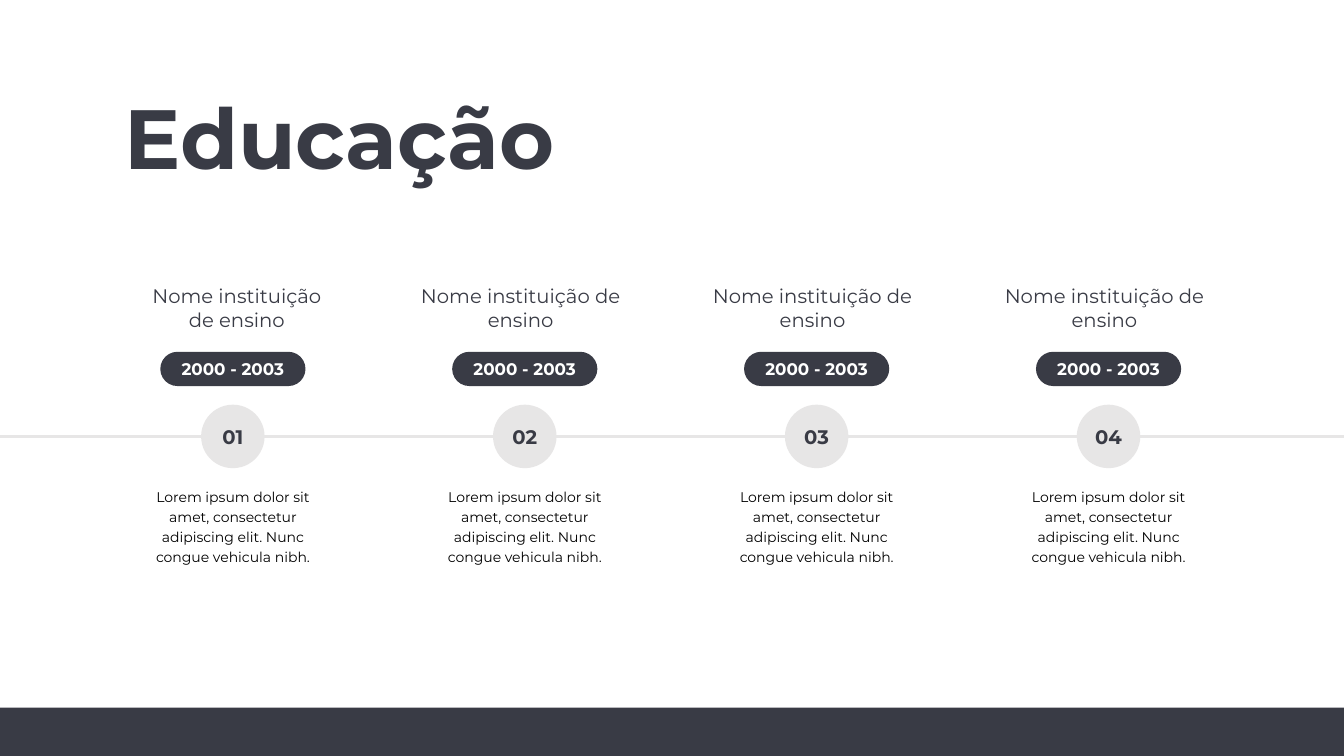
import pptx
import pptx.dml.color
import pptx.enum.shapes
import pptx.enum.text
import pptx.oxml
import pptx.util
from dataclasses import dataclass

SHAPE = pptx.enum.shapes.MSO_SHAPE
ALIGN = pptx.enum.text.PP_ALIGN
ANCHOR = pptx.enum.text.MSO_ANCHOR
inch = pptx.util.Inches

# Content
TITLE = "Educação"
SCHOOL = "Nome instituição de ensino"
YEARS = "2000 - 2003"
SUMMARY = ("Lorem ipsum dolor sit amet, consectetur adipiscing elit. "
           "Nunc congue vehicula nibh.")
# Number, school, years, summary, width of the school label, its shift from the axis
STAGES = [
    ("01", SCHOOL, YEARS, SUMMARY, 1.91, 0.04),
    ("02", SCHOOL, YEARS, SUMMARY, 2.23, -0.04),
    ("03", SCHOOL, YEARS, SUMMARY, 2.23, -0.04),
    ("04", SCHOOL, YEARS, SUMMARY, 2.23, -0.04),
]


@dataclass(frozen=True)
class Theme:
    font: str = "Montserrat"
    dark: str = "393B45"
    pale: str = "E7E6E6"
    white: str = "FFFFFF"
    black: str = "000000"
    title: int = 60
    label: int = 14
    years: int = 12
    summary: int = 10


THEME = Theme()

# Layout in inches
WIDTH, HEIGHT = 13.33, 7.5
FOOTER_HEIGHT = 0.48
AXIS_Y = 4.33
FIRST_CENTER = 2.31
PITCH = (WIDTH - 1.75) / len(STAGES)
CIRCLE = 0.63
PILL_TOP, PILL_WIDTH, PILL_HEIGHT = 3.49, 1.44, 0.34
SCHOOL_TOP, SCHOOL_HEIGHT = 2.77, 0.57
SUMMARY_TOP, SUMMARY_WIDTH, SUMMARY_HEIGHT = 4.76, 2.15, 0.94


def rgb(color):
    return pptx.dml.color.RGBColor.from_string(color)


def write(holder, text, size, color, bold=False, align=ALIGN.CENTER,
          anchor=ANCHOR.TOP, wrap=True, spacing=None):
    frame = holder.text_frame
    frame.text = text
    frame.word_wrap = wrap
    frame.auto_size = pptx.enum.text.MSO_AUTO_SIZE.NONE
    frame.vertical_anchor = anchor
    line = frame.paragraphs[0]
    line.alignment = align
    line.line_spacing = spacing
    line.font.name = THEME.font
    line.font.size = pptx.util.Pt(size)
    line.font.bold = bold
    line.font.color.rgb = rgb(color)


def add_block(slide, kind, left, top, width, height, color):
    block = slide.shapes.add_shape(
        kind, inch(left), inch(top), inch(width), inch(height))
    block.shadow.inherit = False
    block.fill.solid()
    block.fill.fore_color.rgb = rgb(color)
    block.line.fill.background()
    return block


def add_label(slide, center, top, width, height, text, size, color, spacing=None):
    label = slide.shapes.add_textbox(
        inch(center - width / 2), inch(top), inch(width), inch(height))
    write(label, text, size, color, spacing=spacing)


def add_stage(slide, center, stage):
    number, school, years, summary, school_width, school_shift = stage
    circle = add_block(slide, SHAPE.OVAL, center - CIRCLE / 2, AXIS_Y - CIRCLE / 2,
                       CIRCLE, CIRCLE, THEME.pale)
    write(circle, number, THEME.label, THEME.dark, bold=True,
          anchor=ANCHOR.MIDDLE, wrap=False)

    pill = add_block(slide, SHAPE.ROUNDED_RECTANGLE, center - PILL_WIDTH / 2,
                     PILL_TOP, PILL_WIDTH, PILL_HEIGHT, THEME.dark)
    pill.adjustments[0] = 0.5
    write(pill, years, THEME.years, THEME.white, bold=True, anchor=ANCHOR.MIDDLE)

    add_label(slide, center + school_shift, SCHOOL_TOP, school_width, SCHOOL_HEIGHT,
              school, THEME.label, THEME.dark)
    add_label(slide, center, SUMMARY_TOP, SUMMARY_WIDTH, SUMMARY_HEIGHT,
              summary, THEME.summary, THEME.black, spacing=1.2)


def main():
    deck = pptx.Presentation()
    deck.slide_width, deck.slide_height = inch(WIDTH), inch(HEIGHT)
    slide = deck.slides.add_slide(deck.slide_layouts.get_by_name("Title Only"))

    # Title
    title = slide.shapes.title
    title.left, title.top = inch(1.13), inch(0.83)
    title.width, title.height = inch(5.55), inch(1.08)
    write(title, TITLE, THEME.title, THEME.dark, bold=True, align=ALIGN.LEFT,
          spacing=pptx.util.Pt(70))

    # Footer band
    add_block(slide, SHAPE.RECTANGLE, 0, HEIGHT - FOOTER_HEIGHT,
              WIDTH, FOOTER_HEIGHT, THEME.dark)

    # Time axis, behind the stages
    axis = slide.shapes.add_connector(
        pptx.enum.shapes.MSO_CONNECTOR.STRAIGHT,
        0, inch(AXIS_Y), inch(WIDTH), inch(AXIS_Y))
    axis.line.color.rgb = rgb(THEME.pale)
    axis.line.width = pptx.util.Pt(1.5)
    axis._element.spPr.append(pptx.oxml.parse_xml(
        '<a:effectLst xmlns:a="http://schemas.openxmlformats.org/drawingml/2006/main"/>'))

    # Stages
    for column, stage in enumerate(STAGES):
        add_stage(slide, FIRST_CENTER + column * PITCH, stage)

    deck.save("out.pptx")


if __name__ == "__main__":
    main()
